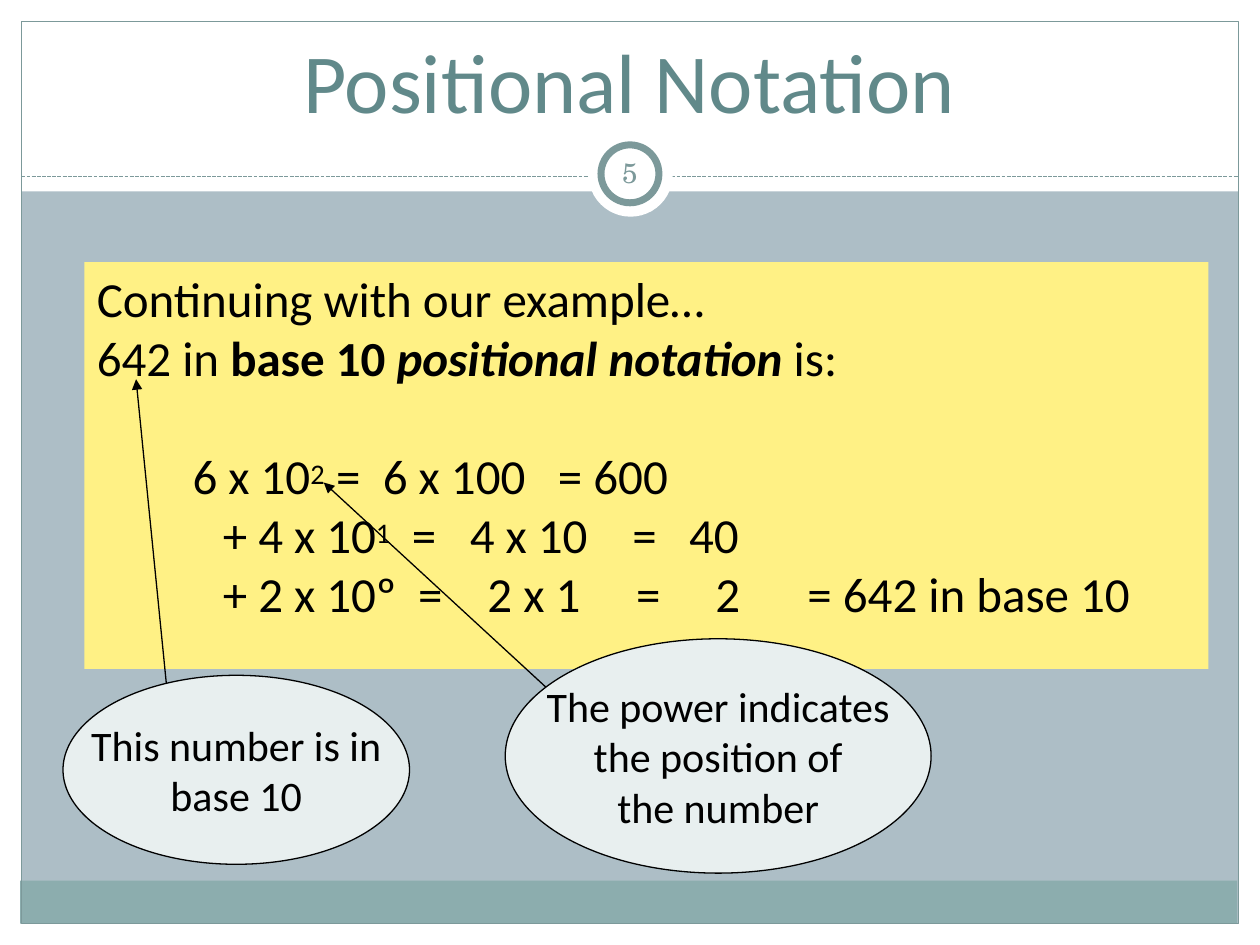
"""Build the slide on positional notation."""
from lxml import etree
from pptx import Presentation
from pptx.dml.color import RGBColor
from pptx.enum.dml import MSO_LINE
from pptx.enum.shapes import MSO_CONNECTOR, MSO_SHAPE
from pptx.enum.text import MSO_ANCHOR, PP_ALIGN
from pptx.oxml.ns import qn
from pptx.util import Inches, Pt

RECT, OVAL = MSO_SHAPE.RECTANGLE, MSO_SHAPE.OVAL
STRAIGHT, DASH = MSO_CONNECTOR.STRAIGHT, MSO_LINE.SQUARE_DOT
CENTER, LEFT = PP_ALIGN.CENTER, PP_ALIGN.LEFT
TOP, MIDDLE, BOTTOM = MSO_ANCHOR.TOP, MSO_ANCHOR.MIDDLE, MSO_ANCHOR.BOTTOM

COLORS = {
    "background": "ADBEC6", "white": "FFFFFF", "band": "8CADAE", "frame": "7C999A",
    "panel": "FFF185", "bubble": "E8EFEF", "title": "61898A", "black": "000000",
}
WIDTH, HEIGHT, MARGIN = 10, 7.5, 0.17
BODY_FONT, NUMBER_FONT = "Calibri", "TeX Gyre Schola"

DECORATION = [
    (RECT, (0, HEIGHT - MARGIN, WIDTH, MARGIN), "white", None, 0),
    (RECT, (0, 0, WIDTH, 1.52), "white", None, 0),
    (RECT, (0, 0, MARGIN, HEIGHT), "white", None, 0),
    (RECT, (WIDTH - MARGIN, 0, MARGIN, HEIGHT), "white", None, 0),
    (RECT, (0.16, 6.99, 9.66, 0.34), "band", None, 0),
    (RECT, (MARGIN, MARGIN, WIDTH - 2 * MARGIN, HEIGHT - 2 * MARGIN), None, "frame", 0.75),
]
BADGE = [
    (OVAL, (4.67, 1.05, 0.67, 0.67), "white", None, 0),
    (OVAL, (4.77, 1.15, 0.46, 0.46), "white", "frame", 4),
]
INTRO = [
    [("Continuing with our example…", "")],
    [("642 in ", ""), ("base 10 ", "b"), ("positional notation", "bi"), (" is:", "")],
]
EQUATIONS = [
    ([("\t6 x 10", ""), ("2", "^"), ("\t=\t6 x 100\t= 600", "")],
     (0.76, 1.9, 2.27, 3.66)),
    ([("\t+ 4 x 10", ""), ("1", "^"), ("\t=\t4 x 10\t=\t40", "")],
     (1, 2.5, 2.96, 4.25, 4.7)),
    ([("\t+ 2 x 10º\t=\t2 x 1\t=\t2\t= 642 in base 10", "")],
     (1, 2.55, 3.1, 4.28, 4.91, 5.64)),
]
CALLOUTS = [
    ((0.5, 5.36, 2.75, 1.5), ["This number is in", "base 10"], (1.32, 5.42), (1.08, 3.01)),
    ((4.01, 5.07, 3.38, 1.86), ["The power indicates", "the position of", "the number"],
     (4.47, 5.58), (2.57, 3.83)),
]


def rgb(name):
    return RGBColor.from_string(COLORS[name])


def add_shape(page, kind, place, fill, line, weight):
    shape = page.shapes.add_shape(kind, *map(Inches, place))
    shape.shadow.inherit = False
    if fill:
        shape.fill.solid()
        shape.fill.fore_color.rgb = rgb(fill)
    else:
        shape.fill.background()
    if line:
        shape.line.color.rgb = rgb(line)
        shape.line.width = Pt(weight)
    else:
        shape.line.fill.background()
    return shape


def add_line(page, start, end, color, arrow=False):
    line = page.shapes.add_connector(STRAIGHT, *map(Inches, start + end))
    line.line.color.rgb = rgb(color)
    line.line.width = Pt(0.75)
    if arrow:
        outline = line.line._get_or_add_ln()
        etree.SubElement(outline, qn("a:tailEnd"), type="triangle")
    etree.SubElement(line._element.spPr, qn("a:effectLst"))
    return line


def set_tabs(paragraph, stops):
    tabs = etree.SubElement(paragraph._p.get_or_add_pPr(), qn("a:tabLst"))
    for stop in stops:
        etree.SubElement(tabs, qn("a:tab"), pos=str(Inches(stop)), algn="l")


def write(box, lines, size, color="black", font=BODY_FONT, align=CENTER,
          anchor=MIDDLE, wrap=True, tabs=()):
    frame = box.text_frame
    frame.word_wrap = wrap
    frame.vertical_anchor = anchor
    for index, spans in enumerate(lines):
        paragraph = frame.add_paragraph() if index else frame.paragraphs[0]
        paragraph.alignment = align
        if index < len(tabs) and tabs[index]:
            set_tabs(paragraph, tabs[index])
        paragraph.font.size = Pt(size)
        paragraph.font.name = font
        paragraph.font.color.rgb = rgb(color)
        for text, style in spans:
            span = paragraph.add_run()
            span.text = text
            if "b" in style:
                span.font.bold = True
            if "i" in style:
                span.font.italic = True
            if "^" in style:
                span.font._element.set("baseline", "20000")
    return frame


deck = Presentation()
deck.slide_width, deck.slide_height = Inches(WIDTH), Inches(HEIGHT)
page = deck.slides.add_slide(deck.slide_layouts[6])
page.background.fill.solid()
page.background.fill.fore_color.rgb = rgb("background")

for part in DECORATION:
    add_shape(page, *part)
divider = add_line(page, (MARGIN, 1.4), (WIDTH - MARGIN, 1.4), "frame")
divider.line.dash_style = DASH
for part in BADGE:
    add_shape(page, *part)

panel = add_shape(page, RECT, (0.67, 2.08, 8.92, 3.23), "panel", None, 0)
lines = INTRO + [spans for spans, stops in EQUATIONS]
stops = [()] * len(INTRO) + [stops for spans, stops in EQUATIONS]
frame = write(panel, lines, 28, align=LEFT, anchor=TOP, tabs=stops)
frame.paragraphs[len(INTRO)].space_before = Pt(34)

for place, words, start, end in CALLOUTS:
    add_line(page, start, end, "black", arrow=True)
    bubble = add_shape(page, OVAL, place, "bubble", "black", 0.75)
    write(bubble, [[(line, "")] for line in words], 24, wrap=False)

title = page.shapes.add_textbox(*map(Inches, (0.33, 0.25, 9.33, 0.83)))
write(title, [[("Positional Notation", "")]], 48, "title", anchor=BOTTOM)

number = page.shapes.add_textbox(*map(Inches, (4.75, 1.13, 0.5, 0.48)))
frame = write(number, [[("5", "")]], 16, "frame", NUMBER_FONT)
frame.margin_left = frame.margin_right = Inches(0.05)
frame.margin_top = frame.margin_bottom = Inches(0.05)

deck.save("out.pptx")
